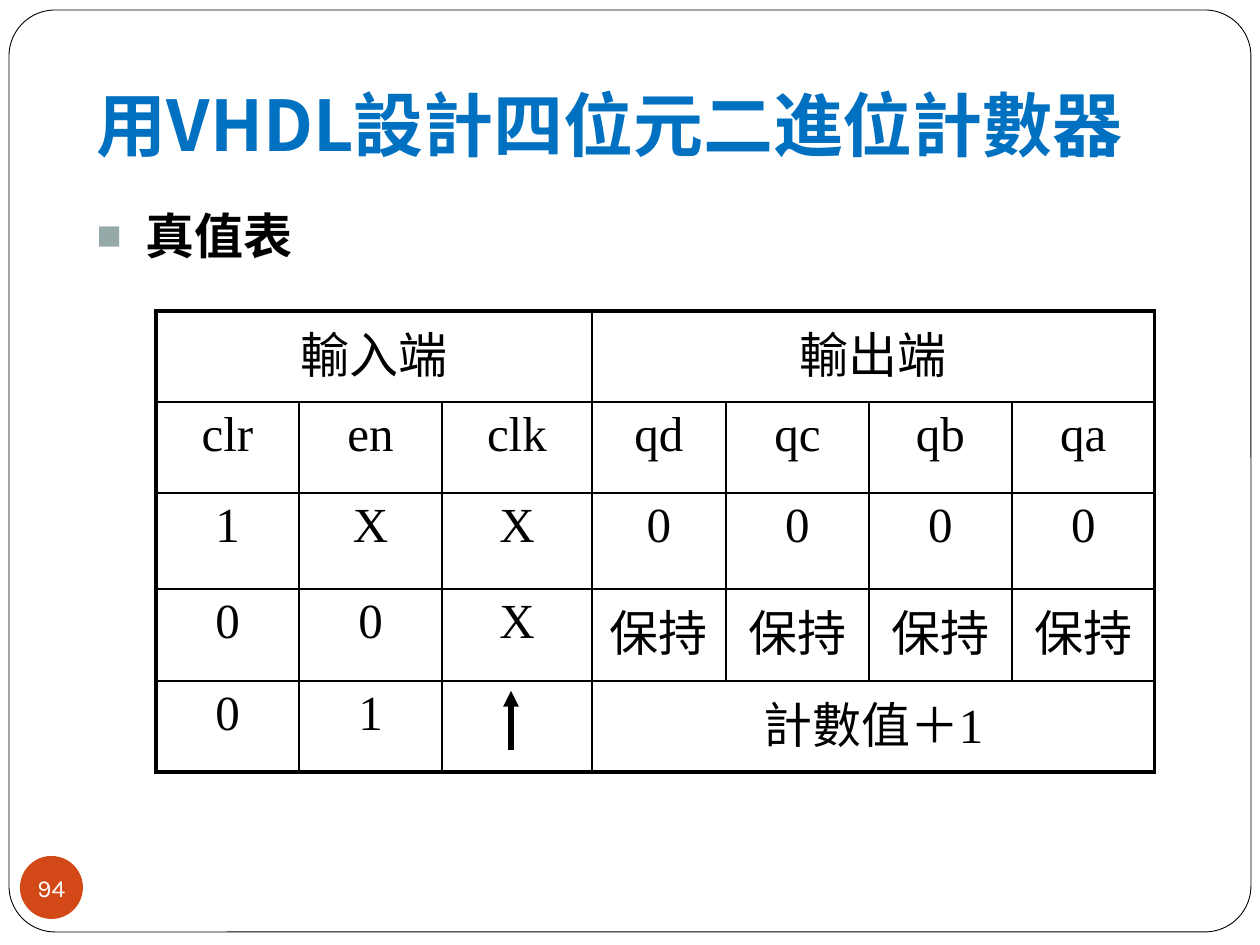
import pptx
import pptx.util
import pptx.dml.color
import pptx.enum.shapes
import pptx.enum.text
import pptx.oxml
import pptx.oxml.ns

# Content
TITLE = "用VHDL設計四位元二進位計數器"
SUBTITLE = "真值表"
PAGE_NUMBER = "94"
# Each row lists (text, columns spanned)
TRUTH_TABLE = [
    [("輸入端", 3), ("輸出端", 4)],
    [(name, 1) for name in ("clr", "en", "clk", "qd", "qc", "qb", "qa")],
    [(value, 1) for value in ("1", "X", "X", "0", "0", "0", "0")],
    [(value, 1) for value in ("0", "0", "X", "保持", "保持", "保持", "保持")],
    [("0", 1), ("1", 1), ("", 1), ("計數值＋1", 4)],
]
COLUMN_WIDTHS = [143, 143, 150, 134, 143, 143, 143]
ROW_HEIGHTS = [91, 91, 96, 92, 91]
TABLE_LEFT, TABLE_TOP = 156, 311

CJK = "Noto Sans CJK JP"
SERIF = "Times New Roman"
BLACK, WHITE, BLUE, ORANGE = "000000", "FFFFFF", "0070C0", "D34817"
OUTER_LINE, INNER_LINE = 2.25, 1
PX_PER_INCH = 126
ALIGN = pptx.enum.text.PP_ALIGN
ANCHOR = pptx.enum.text.MSO_ANCHOR
SHAPE = pptx.enum.shapes.MSO_SHAPE
NS = pptx.oxml.ns.nsdecls("a")


def px(length):
    return pptx.util.Emu(round(length * 914400 / PX_PER_INCH))


def rgb(color):
    return pptx.dml.color.RGBColor.from_string(color)


def xml(markup):
    """Parse one drawing element; a space must follow its opening tag name."""
    tag, rest = markup.split(" ", 1)
    return pptx.oxml.parse_xml(f"{tag} {NS} {rest}")


def write(frame, text, *, size, font, color, bold=False, align=ALIGN.LEFT):
    paragraph = frame.paragraphs[0]
    paragraph.alignment = align
    paragraph.space_before = pptx.util.Pt(0)
    run = paragraph.add_run()
    run.text = text
    run.font.size = pptx.util.Pt(size)
    run.font.bold = bold
    run.font.color.rgb = rgb(color)
    run.font.name = font
    run.font._element.append(xml(f'<a:ea typeface="{CJK}"/>'))
    return paragraph


def place(part, left, top, width, height):
    part.left, part.top, part.width, part.height = map(px, (left, top, width, height))


def set_insets(frame, left, top, right, bottom):
    frame.margin_left, frame.margin_top = px(left), px(top)
    frame.margin_right, frame.margin_bottom = px(right), px(bottom)


def add_filled(kind, box, fill):
    part = slide.shapes.add_shape(kind, *map(px, box))
    part.shadow.inherit = False
    part.fill.solid()
    part.fill.fore_color.rgb = rgb(fill)
    return part


def set_borders(cell, widths):
    for side, points in widths.items():
        cell._tc.get_or_add_tcPr().append(xml(
            f'<a:ln{side} w="{round(points * 12700)}"><a:solidFill>'
            f'<a:srgbClr val="{BLACK}"/></a:solidFill></a:ln{side}>'))


deck = pptx.Presentation()
deck.slide_width, deck.slide_height = px(1260), px(945)
slide = deck.slides.add_slide(deck.slide_layouts[1])

# Rounded page frame, behind everything
page_frame = add_filled(SHAPE.ROUNDED_RECTANGLE, (9, 10, 1242, 922), WHITE)
page_frame.adjustments[0] = 0.05
page_frame.line.color.rgb = rgb(BLACK)
page_frame.line.width = pptx.util.Pt(0.5)
page_frame._element.getparent().insert(2, page_frame._element)

# Page number badge
badge = add_filled(SHAPE.OVAL, (20, 856, 63, 63), ORANGE)
badge.line.fill.background()
set_insets(badge.text_frame, 0, 0, 0, 0)
badge.text_frame.word_wrap = False
badge.text_frame.vertical_anchor = ANCHOR.MIDDLE
write(badge.text_frame, PAGE_NUMBER, size=14, font="Karla", color=WHITE,
      align=ALIGN.CENTER)

# Title and subtitle
heading, subtitle = slide.shapes.title, slide.placeholders[1]
place(heading, 84, 42, 1124, 136)
place(subtitle, 84, 199, 229, 91)
for part in (heading, subtitle):
    part.text_frame.auto_size = pptx.enum.text.MSO_AUTO_SIZE.NONE
    part.text_frame.word_wrap = True
set_insets(heading.text_frame, 13, 6, 13, 13)
heading.text_frame.vertical_anchor = ANCHOR.BOTTOM
subtitle.text_frame.vertical_anchor = ANCHOR.TOP
write(heading.text_frame, TITLE, size=40, font=CJK, color=BLUE, bold=True)
bullet_line = write(subtitle.text_frame, SUBTITLE, size=28, font=CJK,
                    color=BLACK, bold=True)
bullet_format = bullet_line._p.get_or_add_pPr()
bullet_format.set("marL", str(px(49)))
bullet_format.set("indent", str(px(-49)))
for markup in ('<a:buClr ><a:srgbClr val="96A9A9"/></a:buClr>',
               '<a:buSzPct val="85000"/>',
               '<a:buChar char="■"/>'):
    bullet_format.append(xml(markup))

# Truth table
row_count, column_count = len(ROW_HEIGHTS), len(COLUMN_WIDTHS)
truth_table = slide.shapes.add_table(
    row_count, column_count, px(TABLE_LEFT), px(TABLE_TOP),
    px(sum(COLUMN_WIDTHS)), px(sum(ROW_HEIGHTS))).table
truth_table.first_row = truth_table.horz_banding = False
for column, width in zip(truth_table.columns, COLUMN_WIDTHS):
    column.width = px(width)
for row, height in zip(truth_table.rows, ROW_HEIGHTS):
    row.height = px(height)

for row_index, entries in enumerate(TRUTH_TABLE):
    first = 0
    for text, span in entries:
        last = first + span - 1
        cell = truth_table.cell(row_index, first)
        if span > 1:
            cell.merge(truth_table.cell(row_index, last))
        on_edge = {"L": first == 0, "R": last == column_count - 1,
                   "T": row_index == 0, "B": row_index == row_count - 1}
        set_borders(cell, {side: OUTER_LINE if edge else INNER_LINE
                           for side, edge in on_edge.items()})
        cell.fill.background()
        if text:
            write(cell.text_frame, text, size=28, font=SERIF, color=BLACK,
                  align=ALIGN.CENTER)
        first = last + 1

# Rising clock edge
rising_edge = slide.shapes.add_connector(
    pptx.enum.shapes.MSO_CONNECTOR.STRAIGHT, px(511), px(750), px(511), px(691))
rising_edge.line.color.rgb = rgb(BLACK)
rising_edge.line.width = pptx.util.Pt(3)
rising_edge.line._get_or_add_ln().append(xml('<a:tailEnd type="triangle"/>'))
rising_edge._element.spPr.append(xml("<a:effectLst />"))

deck.save("out.pptx")
